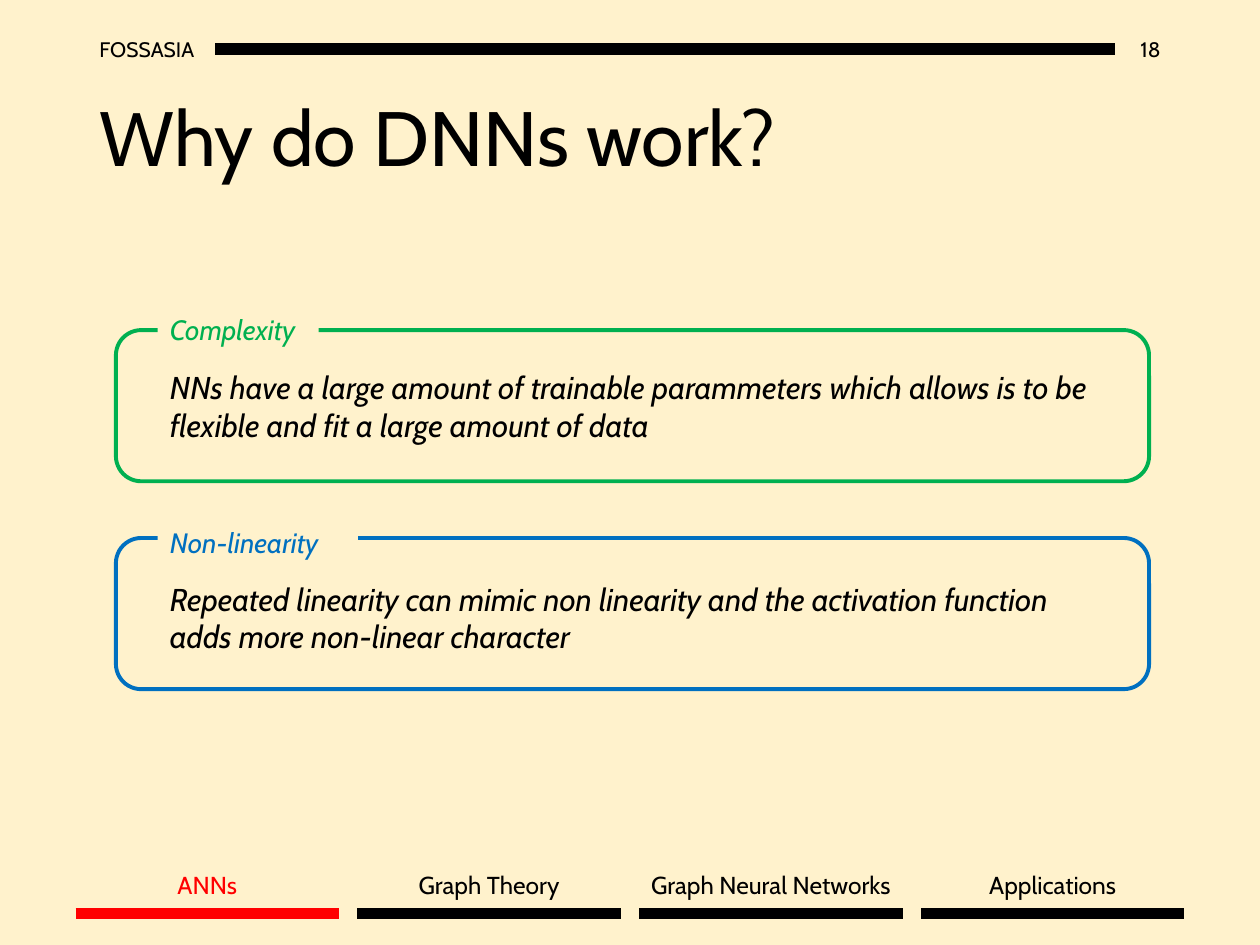
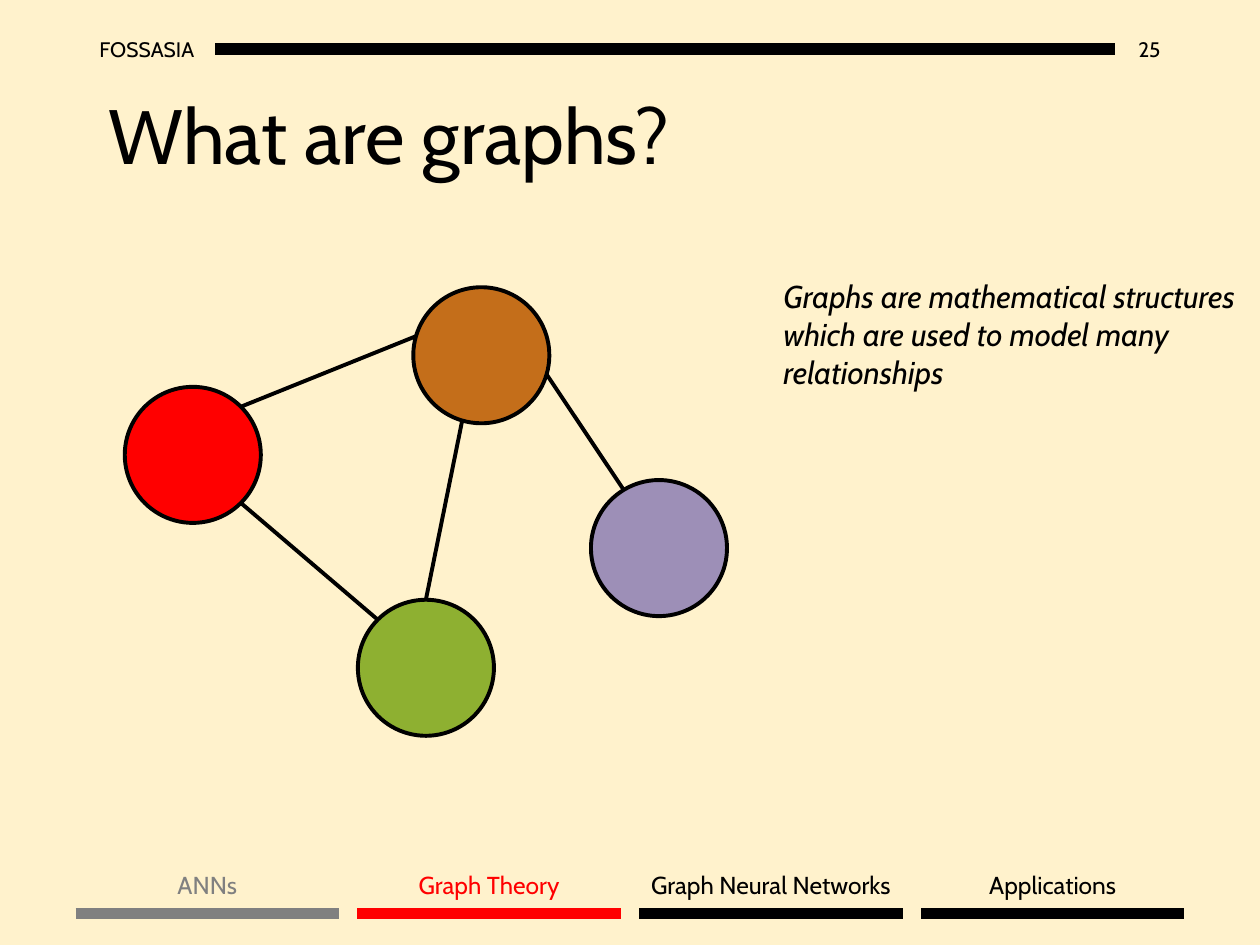
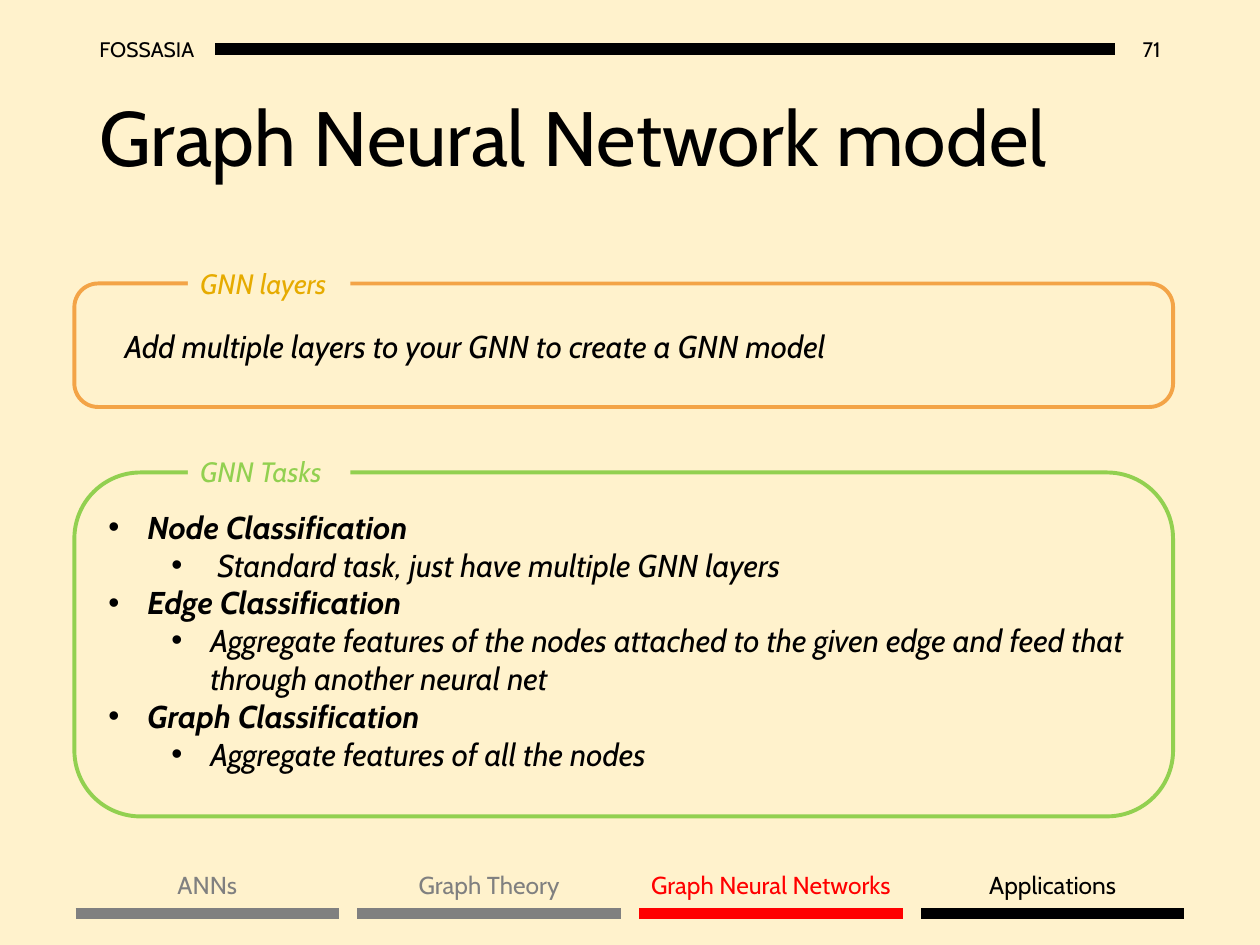
from dataclasses import dataclass
from math import cos, radians, sin
from typing import Optional

from lxml.etree import SubElement
from pptx import Presentation
from pptx.dml.color import RGBColor
from pptx.enum.shapes import MSO_CONNECTOR as Connector, MSO_SHAPE as Preset
from pptx.enum.text import MSO_ANCHOR as Anchor, MSO_AUTO_SIZE as AutoSize, PP_ALIGN as Align
from pptx.oxml.ns import qn
from pptx.util import Inches, Pt


@dataclass(frozen=True)
class Theme:
    font: str = "Cabin"
    background: RGBColor = RGBColor(0xFF, 0xF2, 0xCC)
    ink: RGBColor = RGBColor(0, 0, 0)
    active: RGBColor = RGBColor(0xFF, 0, 0)
    done: RGBColor = RGBColor(0x80, 0x80, 0x80)
    green: RGBColor = RGBColor(0, 0xB0, 0x50)
    blue: RGBColor = RGBColor(0, 0x70, 0xC0)
    lime: RGBColor = RGBColor(0x92, 0xD0, 0x50)
    orange: RGBColor = RGBColor(0xF3, 0xA4, 0x47)
    gold: RGBColor = RGBColor(0xE6, 0xAB, 0)
    olive: RGBColor = RGBColor(0x8E, 0xB0, 0x31)
    violet: RGBColor = RGBColor(0x9D, 0x8F, 0xB7)
    brown: RGBColor = RGBColor(0xC4, 0x6E, 0x1A)
    title_size: int = 44
    body_size: int = 18
    label_size: int = 16
    section_size: int = 14
    header_size: int = 12
    outline: float = 2.25
    header_line: float = 7
    section_line: float = 6


THEME = Theme()


@dataclass(frozen=True)
class Box:
    left: float
    top: float
    width: float
    height: float

    def lengths(self) -> tuple:
        return tuple(Inches(value) for value in (self.left, self.top, self.width, self.height))


@dataclass(frozen=True)
class Section:
    name: str
    label_width: float


@dataclass(frozen=True)
class Panel:
    frame: Box
    frame_color: RGBColor
    label: str
    label_box: Box
    label_color: RGBColor
    text: str = ""
    text_box: Optional[Box] = None
    corner: float = 0.167


@dataclass(frozen=True)
class Node:
    x: float
    y: float
    color: RGBColor
    rotation: float = 0

    def site(self, index: int) -> tuple[float, float]:
        angle = radians(self.rotation - 45 * index)
        return self.x + NODE_RADIUS * sin(angle), self.y - NODE_RADIUS * cos(angle)


@dataclass(frozen=True)
class Edge:
    start: Node
    start_site: int
    end: Node
    end_site: int


@dataclass(frozen=True)
class Task:
    name: str
    detail: str


TITLE_ONLY, TITLE_AND_BODY = 5, 1
TITLE_BOX = Box(0.69, 0.4, 8.62, 1.45)
SECTIONS = (
    Section("ANNs", 0.69),
    Section("Graph Theory", 1.37),
    Section("Graph Neural Networks", 2.19),
    Section("Applications", 1.23),
)
SECTION_LEFT, SECTION_RIGHT, SECTION_WIDTH = 0.6, 9.4, 2.09
SECTION_PITCH = (SECTION_RIGHT - SECTION_LEFT - SECTION_WIDTH) / (len(SECTIONS) - 1)

REASONS = (
    Panel(
        Box(0.92, 2.62, 8.2, 1.2), THEME.green,
        "Complexity", Box(1.25, 2.43, 1.28, 0.37), THEME.green,
        "NNs have a large amount of trainable parammeters which allows is to be "
        "flexible and fit a large amount of data",
        Box(1.25, 2.87, 7.67, 0.71),
    ),
    Panel(
        Box(0.92, 4.27, 8.2, 1.2), THEME.blue,
        "Non-linearity", Box(1.25, 4.12, 1.59, 0.37), THEME.blue,
        "Repeated linearity can mimic non linearity and the activation function "
        "adds more non-linear character",
        Box(1.25, 4.55, 7.67, 0.71),
    ),
)

NODE_RADIUS = 0.54
RED_NODE = Node(1.53, 3.61, THEME.active)
BROWN_NODE = Node(3.82, 2.82, THEME.brown, 16.3)
OLIVE_NODE = Node(3.38, 5.3, THEME.olive)
VIOLET_NODE = Node(5.23, 4.35, THEME.violet, 58.8)
NODES = (OLIVE_NODE, VIOLET_NODE, RED_NODE, BROWN_NODE)
EDGES = (
    Edge(BROWN_NODE, 4, OLIVE_NODE, 0),
    Edge(RED_NODE, 5, OLIVE_NODE, 1),
    Edge(RED_NODE, 7, BROWN_NODE, 2),
    Edge(BROWN_NODE, 6, VIOLET_NODE, 2),
)

MODEL_PANELS = (
    Panel(
        Box(0.59, 2.25, 8.72, 0.98), THEME.orange,
        "GNN layers", Box(1.49, 2.07, 1.29, 0.37), THEME.gold,
        "Add multiple layers to your GNN to create a GNN model",
        Box(0.89, 2.55, 7.3, 0.4), corner=0.192,
    ),
    Panel(
        Box(0.59, 3.75, 8.72, 2.73), THEME.lime,
        "GNN Tasks", Box(1.49, 3.56, 1.29, 0.37), THEME.lime, corner=0.192,
    ),
)
TASKS = (
    Task("Node Classification", " Standard task, just have multiple GNN layers"),
    Task(
        "Edge Classification",
        "Aggregate features of the nodes attached to the given edge and feed that "
        "through another neural net",
    ),
    Task("Graph Classification", "Aggregate features of all the nodes"),
)


def style(paragraph, size: float, color: RGBColor = THEME.ink,
          italic: bool = False, bold: bool = False) -> None:
    font = paragraph.font
    font.name = THEME.font
    font.size = Pt(size)
    font.color.rgb = color
    font.italic = italic
    font.bold = bold


def place(shape, box: Box) -> None:
    shape.left, shape.top, shape.width, shape.height = box.lengths()


def write(shape, text: str, size: float, color: RGBColor = THEME.ink, italic: bool = False,
          align: Align = Align.LEFT, anchor: Anchor = Anchor.TOP, wrap: bool = True):
    frame = shape.text_frame
    frame.word_wrap = wrap
    frame.vertical_anchor = anchor
    paragraph = frame.paragraphs[0]
    paragraph.text = text
    paragraph.alignment = align
    style(paragraph, size, color, italic)
    return paragraph


def add_text(shapes, box: Box, text: str, size: float, **options) -> None:
    write(shapes.add_textbox(*box.lengths()), text, size, **options)


def add_line(shapes, start: tuple[float, float], end: tuple[float, float],
             color: RGBColor, width: float) -> None:
    points = (Inches(value) for value in (*start, *end))
    connector = shapes.add_connector(Connector.STRAIGHT, *points)
    connector.line.color.rgb = color
    connector.line.width = Pt(width)
    SubElement(connector._element.spPr, qn("a:effectLst"))


def add_preset(shapes, preset: Preset, box: Box, fill: Optional[RGBColor] = None,
               line: Optional[RGBColor] = None):
    shape = shapes.add_shape(preset, *box.lengths())
    shape.shadow.inherit = False
    if fill is None:
        shape.fill.background()
    else:
        shape.fill.solid()
        shape.fill.fore_color.rgb = fill
    if line is None:
        shape.line.fill.background()
    else:
        shape.line.color.rgb = line
        shape.line.width = Pt(THEME.outline)
    return shape


def add_header(slide, number: int) -> None:
    add_text(slide.shapes, Box(0.69, 0.19, 1.02, 0.4), "FOSSASIA", THEME.header_size,
             anchor=Anchor.MIDDLE)
    add_line(slide.shapes, (1.71, 0.39), (8.85, 0.39), THEME.ink, THEME.header_line)
    add_text(slide.shapes, Box(8.85, 0.19, 0.46, 0.4), str(number), THEME.header_size,
             align=Align.RIGHT, anchor=Anchor.MIDDLE)


def add_sections(slide, current: int) -> None:
    shapes = slide.shapes.add_group_shape().shapes
    for index, section in enumerate(SECTIONS):
        if index < current:
            color = THEME.done
        elif index == current:
            color = THEME.active
        else:
            color = THEME.ink
        left = SECTION_LEFT + index * SECTION_PITCH
        label_left = left + (SECTION_WIDTH - section.label_width) / 2
        add_line(shapes, (left, 7.25), (left + SECTION_WIDTH, 7.25), color, THEME.section_line)
        add_text(shapes, Box(label_left, 6.86, section.label_width, 0.34), section.name,
                 THEME.section_size, color=color, align=Align.CENTER, wrap=False)


def add_slide(presentation, layout: int, title: str, number: int, current: int,
              title_box: Box = TITLE_BOX):
    slide = presentation.slides.add_slide(presentation.slide_layouts[layout])
    heading = slide.shapes.title
    place(heading, title_box)
    paragraph = write(heading, title, THEME.title_size, anchor=Anchor.MIDDLE)
    paragraph.line_spacing = 0.9
    heading.text_frame.auto_size = AutoSize.NONE
    add_header(slide, number)
    add_sections(slide, current)
    return slide


def add_panel(slide, panel: Panel) -> None:
    frame = add_preset(slide.shapes, Preset.ROUNDED_RECTANGLE, panel.frame,
                       line=panel.frame_color)
    frame.adjustments[0] = panel.corner
    label = add_preset(slide.shapes, Preset.RECTANGLE, panel.label_box, fill=THEME.background)
    write(label, panel.label, THEME.label_size, panel.label_color, italic=True)
    if panel.text_box:
        add_text(slide.shapes, panel.text_box, panel.text, THEME.body_size, italic=True)


def add_bullet(paragraph, text: str, level: int) -> None:
    paragraph.text = text
    paragraph.level = level
    paragraph.space_before = Pt(0)
    properties = paragraph._p.get_or_add_pPr()
    properties.set("marL", str(Inches(0.31 + 0.5 * level)))
    properties.set("indent", str(Inches(-0.31)))
    SubElement(properties, qn("a:buFont"), typeface="Arial")
    SubElement(properties, qn("a:buChar"), char="•")
    style(paragraph, THEME.body_size, italic=True, bold=level == 0)


def build_reasons(presentation) -> None:
    slide = add_slide(presentation, TITLE_ONLY, "Why do DNNs work?", 18, 0)
    for panel in REASONS:
        add_panel(slide, panel)


def build_graph(presentation) -> None:
    slide = add_slide(presentation, TITLE_ONLY, "What are graphs?", 25, 1,
                      Box(0.76, 0.38, 8.62, 1.45))
    diameter = 2 * NODE_RADIUS
    for node in NODES:
        box = Box(node.x - NODE_RADIUS, node.y - NODE_RADIUS, diameter, diameter)
        circle = add_preset(slide.shapes, Preset.OVAL, box, node.color, THEME.ink)
        circle.rotation = node.rotation
    for edge in EDGES:
        add_line(slide.shapes, edge.start.site(edge.start_site), edge.end.site(edge.end_site),
                 THEME.ink, THEME.outline)
    add_text(slide.shapes, Box(6.12, 2.15, 3.84, 1.01),
             "Graphs are mathematical structures which are used to model many relationships",
             THEME.body_size, italic=True)


def build_model(presentation) -> None:
    slide = add_slide(presentation, TITLE_AND_BODY, "Graph Neural Network model", 71, 2)
    for panel in MODEL_PANELS:
        add_panel(slide, panel)
    body = slide.placeholders[1]
    place(body, Box(0.76, 3.98, 8.64, 2.22))
    frame = body.text_frame
    frame.auto_size = AutoSize.NONE
    lines = [(text, level) for task in TASKS
             for level, text in enumerate((task.name, task.detail))]
    for index, (text, level) in enumerate(lines):
        paragraph = frame.add_paragraph() if index else frame.paragraphs[0]
        add_bullet(paragraph, text, level)


def main() -> None:
    presentation = Presentation()
    presentation.slide_width = Inches(10)
    presentation.slide_height = Inches(7.5)
    background = presentation.slide_master.background.fill
    background.solid()
    background.fore_color.rgb = THEME.background
    build_reasons(presentation)
    build_graph(presentation)
    build_model(presentation)
    presentation.save("out.pptx")


if __name__ == "__main__":
    main()
